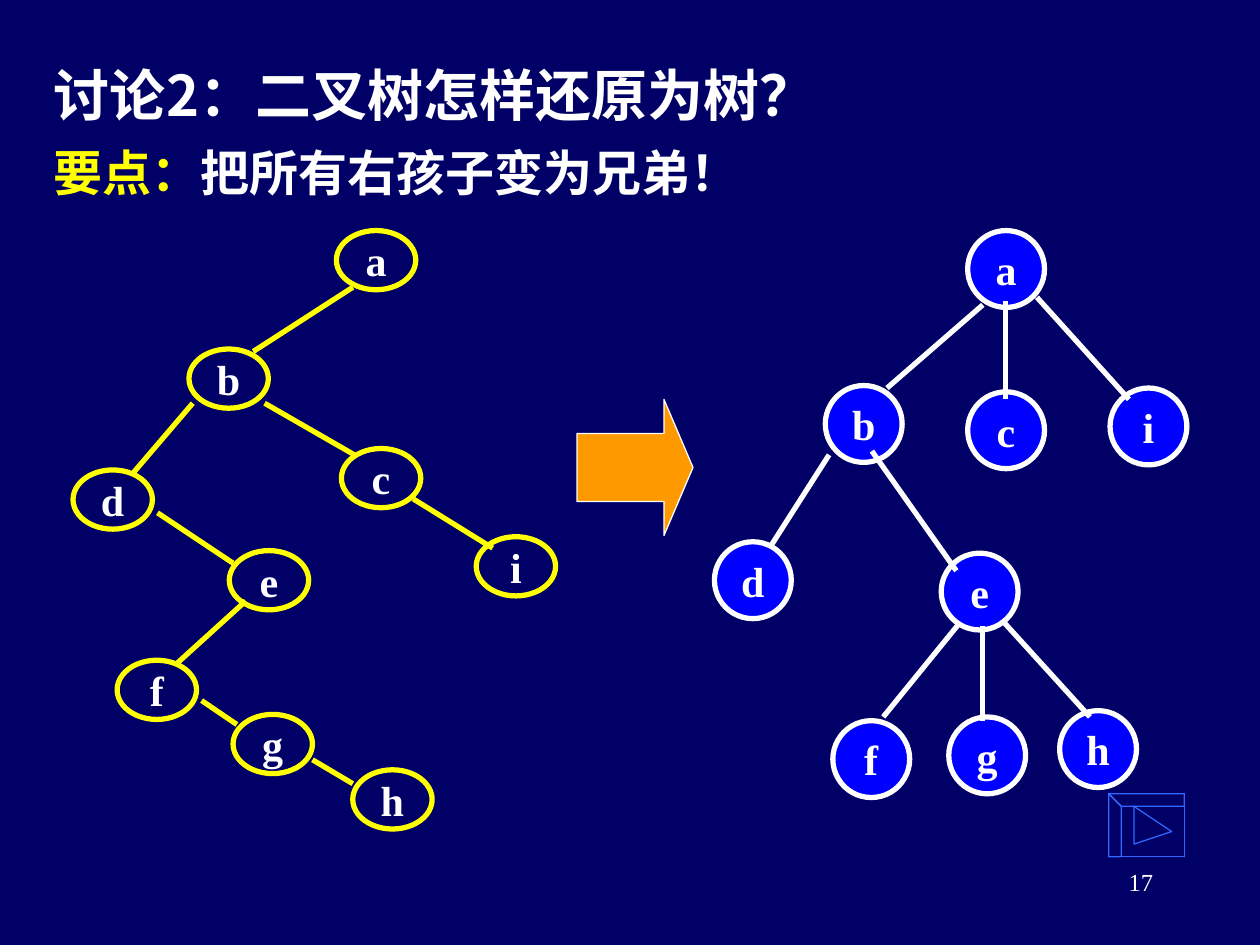
from lxml import etree
from pptx import Presentation
from pptx.dml.color import RGBColor
from pptx.enum.shapes import MSO_CONNECTOR, MSO_SHAPE
from pptx.enum.text import MSO_ANCHOR, PP_ALIGN
from pptx.oxml.ns import qn
from pptx.util import Inches, Pt

OVAL, ARROW = MSO_SHAPE.OVAL, MSO_SHAPE.RIGHT_ARROW
STRAIGHT = MSO_CONNECTOR.STRAIGHT
LEFT, CENTER, RIGHT = PP_ALIGN.LEFT, PP_ALIGN.CENTER, PP_ALIGN.RIGHT
TOP, MIDDLE = MSO_ANCHOR.TOP, MSO_ANCHOR.MIDDLE

COLS, ROWS = 100, 75
CELL = Inches(0.1)
NAVY, WHITE, YELLOW = "000066", "FFFFFF", "FFFF00"
BLUE, ORANGE, SKY = "0000FF", "FF9900", "3366FF"
HAN, ROMAN = "Noto Sans CJK SC", "Times New Roman"

# Nodes: column and row of the top left corner. Edges: column, row of both ends.
BINARY_NODES = {
    "a": (26.7, 18.3), "b": (15, 27.7), "c": (27.1, 35.6), "d": (5.8, 37.3),
    "e": (18.2, 43.7), "f": (9.3, 52.4), "g": (18.5, 56.7), "h": (28, 61.1),
    "i": (37.8, 42.6),
}
BINARY_EDGES = [
    (28, 22.8, 20.1, 27.9), (15.3, 32, 10.6, 37.5), (19.5, 47.7, 14.1, 52.6),
    (21, 32, 28.3, 36.2), (32.8, 39.6, 39.1, 43.5), (12.5, 40.7, 18.5, 44.7),
    (16, 55.6, 18.8, 57.5), (24.8, 60.3, 28, 62.2),
]
TREE_NODES = {
    "a": (76.8, 18.3), "b": (65.5, 30.6), "c": (76.8, 31.1), "d": (56.7, 43),
    "e": (74.7, 43.9), "f": (66.1, 57.2), "g": (75.3, 56.9), "h": (84.1, 56.4),
    "i": (88.1, 30.8),
}
TREE_EDGES = [
    (78, 24.2, 70.4, 30.8), (79.8, 23.9, 79.8, 31.7), (82.3, 23.6, 89.6, 31.7),
    (65.8, 36.1, 61.2, 43.3), (69.2, 35.8, 75.9, 45.3),
    (76.2, 49.4, 70.1, 56.9), (78, 49.7, 78, 57.2), (79.5, 49.2, 86.5, 56.9),
]


def rgb(value):
    return RGBColor.from_string(value)


def grid(*cells):
    return [round(c * CELL) for c in cells]


class Deck:
    def __init__(self):
        self.prs = Presentation()
        self.prs.slide_width, self.prs.slide_height = grid(COLS, ROWS)
        self.s = self.prs.slides.add_slide(self.prs.slide_layouts[6])
        self.s.background.fill.solid()
        self.s.background.fill.fore_color.rgb = rgb(NAVY)

    def label(self, sp, runs, size, font, bold=True, align=LEFT, anchor=TOP, wrap=True):
        """Fill a shape with one paragraph of (text, colour) runs."""
        tf = sp.text_frame
        tf.word_wrap, tf.vertical_anchor = wrap, anchor
        p = tf.paragraphs[0]
        p.alignment = align
        p.font.size, p.font.bold, p.font.name = Pt(size), bold, font
        props = p._p.pPr.find(qn("a:defRPr"))
        etree.SubElement(props, qn("a:ea")).set("typeface", font)
        for text, color in runs:
            r = p.add_run()
            r.text = text
            r.font.color.rgb = rgb(color)

    def text(self, box, runs, size, font, **style):
        self.label(self.s.shapes.add_textbox(*grid(*box)), runs, size, font, **style)

    def paint(self, sp, fill, line, width):
        sp.shadow.inherit = False
        if fill:
            sp.fill.solid()
            sp.fill.fore_color.rgb = rgb(fill)
        else:
            sp.fill.background()
        sp.line.color.rgb, sp.line.width = rgb(line), Pt(width)

    def shape(self, kind, box, fill, line, width):
        sp = self.s.shapes.add_shape(kind, *grid(*box))
        self.paint(sp, fill, line, width)
        return sp

    def edge(self, ends, color):
        line = self.s.shapes.add_connector(STRAIGHT, *grid(*ends))
        line.line.color.rgb, line.line.width = rgb(color), Pt(3)
        etree.SubElement(line._element.spPr, qn("a:effectLst"))

    def tree(self, nodes, edges, size, fill, color):
        for name, corner in nodes.items():
            sp = self.shape(OVAL, corner + size, fill, color, 3)
            self.label(sp, [(name, WHITE)], 24, ROMAN,
                       align=CENTER, anchor=MIDDLE, wrap=False)
        for ends in edges:
            self.edge(ends, color)

    def outline(self, contours, color):
        """Draw closed contours of (column, row) points as one unfilled shape."""
        fb = None
        for start, *rest in contours:
            if fb is None:
                fb = self.s.shapes.build_freeform(*start, scale=CELL)
            else:
                fb.move_to(*start)
            fb.add_line_segments(rest, close=True)
        self.paint(fb.convert_to_shape(), None, color, 0.75)


def next_button(left, top, width, height, bevel):
    """Contours of a bevelled frame with a triangle inside."""
    right, bottom = left + width, top + height
    outer = [(left, top), (right, top), (right, bottom), (left, bottom)]
    inner = [(left + bevel, top + bevel), (right - bevel, top + bevel),
             (right - bevel, bottom - bevel), (left + bevel, bottom - bevel)]
    sides = [[outer[i - 1], outer[i], inner[i], inner[i - 1]] for i in range(4)]
    middle, reach = top + height / 2, height / 3
    x = left + width / 2 - reach
    triangle = [(x, middle - reach), (x + 2 * reach, middle), (x, middle + reach)]
    return [outer, *sides, triangle]


def main():
    deck = Deck()
    deck.text((71.7, 68.3, 20.8, 5), [("17", WHITE)], 14, ROMAN, bold=False, align=RIGHT)
    deck.text((3.3, 3.3, 69.2, 8.3), [("讨论2：二叉树怎样还原为树？", WHITE)],
              32, HAN, anchor=MIDDLE)
    deck.text((3.3, 10.8, 57.5, 6.4),
              [("要点：", YELLOW), ("把所有右孩子变为兄弟！", WHITE)], 28, HAN)
    deck.tree(BINARY_NODES, BINARY_EDGES, (6.3, 4.7), None, YELLOW)
    deck.tree(TREE_NODES, TREE_EDGES, (6.1, 6.1), BLUE, WHITE)
    arrow = deck.shape(ARROW, (45.8, 31.7, 9.2, 10.8), ORANGE, WHITE, 0.75)
    arrow.adjustments[0], arrow.adjustments[1] = 0.5, 0.25
    deck.outline(next_button(88.3, 63.3, 5.9, 5, 0.35), SKY)
    deck.prs.save("out.pptx")


if __name__ == "__main__":
    main()
